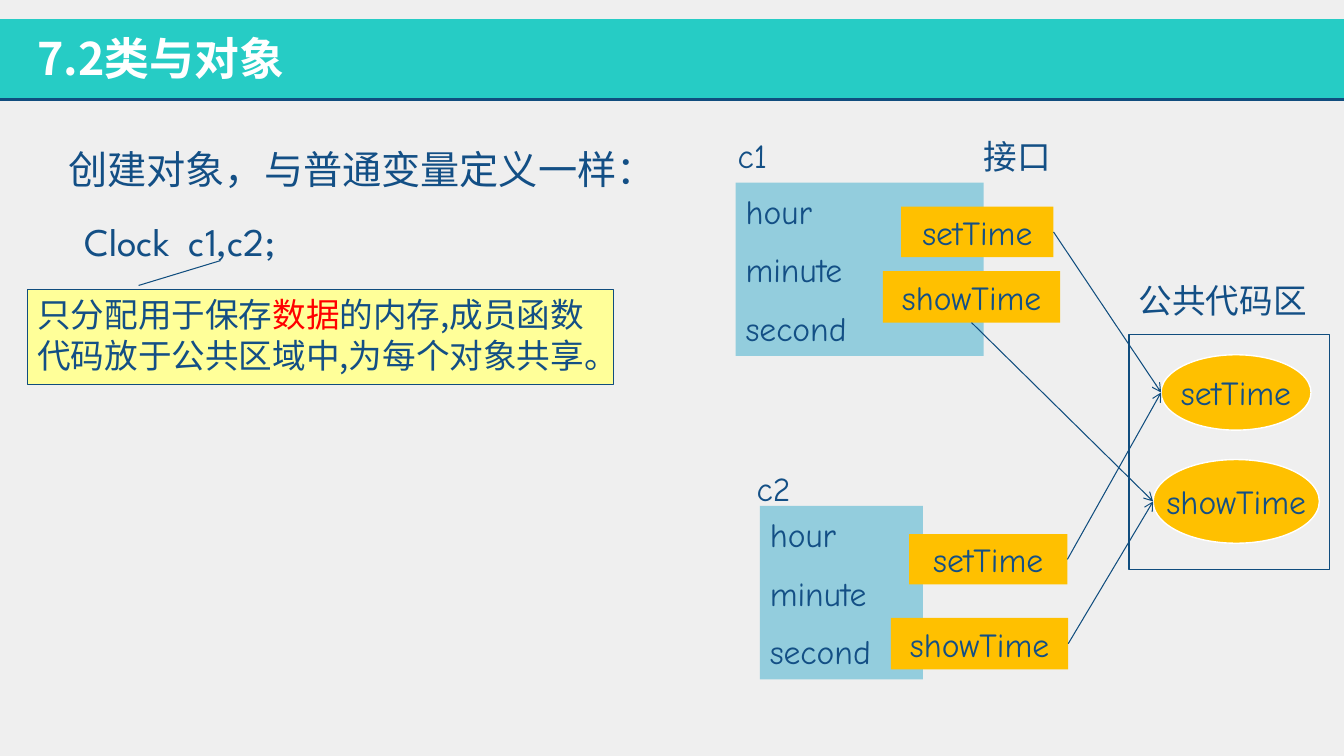
"""Build the slide on classes and objects: two Clock objects sharing public code."""
from lxml.etree import SubElement
from pptx import Presentation
from pptx.dml.color import RGBColor
from pptx.enum.shapes import MSO_CONNECTOR, MSO_SHAPE
from pptx.enum.text import MSO_ANCHOR, MSO_AUTO_SIZE, PP_ALIGN
from pptx.oxml.ns import qn
from pptx.util import Cm, Pt

PAPER = RGBColor(0xEF, 0xEF, 0xEF)
TEAL = RGBColor(0x26, 0xCC, 0xC5)
NAVY = RGBColor(0x10, 0x4D, 0x7E)
INK = RGBColor(0x13, 0x4F, 0x85)
WHITE = RGBColor(0xFF, 0xFF, 0xFF)
RED = RGBColor(0xFF, 0x00, 0x00)
YELLOW = RGBColor(0xFF, 0xFF, 0x99)
SKY = RGBColor(0x93, 0xCD, 0xDD)
AMBER = RGBColor(0xFF, 0xC0, 0x00)
HAN = "Noto Sans CJK JP"
COMIC = "Comic Neue"
SPARTAN = "League Spartan"


def write(shape, text, size=24, font=COMIC, color=INK, bold=False, align=PP_ALIGN.LEFT,
          anchor=MSO_ANCHOR.TOP, wrap=True, gap=0, highlight=None):
    frame = shape.text_frame
    frame.word_wrap = wrap
    frame.auto_size = MSO_AUTO_SIZE.NONE
    frame.vertical_anchor = anchor
    for index, line in enumerate(text.split("\n")):
        paragraph = frame.add_paragraph() if index else frame.paragraphs[0]
        paragraph.alignment = align
        paragraph.space_before = Pt(gap if index else 0)
        for part in line.partition(highlight) if highlight else [line]:
            run = paragraph.add_run()
            run.text = part
            run.font.size = Pt(size)
            run.font.bold = bold
            run.font.color.rgb = RED if part == highlight else color
            run.font.name = font
            SubElement(run.font._element, qn("a:ea"), typeface=HAN)


def draw(kind, box, fill=None, line=None, width=1):
    shape = slide.shapes.add_shape(kind, *map(Cm, box))
    shape.shadow.inherit = False
    if fill is None:
        shape.fill.background()
    else:
        shape.fill.solid()
        shape.fill.fore_color.rgb = fill
    if line is None:
        shape.line.fill.background()
    else:
        shape.line.color.rgb = line
        shape.line.width = Pt(width)
    return shape


deck = Presentation()
deck.slide_width, deck.slide_height = Cm(33.87), Cm(19.05)
slide = deck.slides.add_slide(deck.slide_layouts[1])
slide.background.fill.solid()
slide.background.fill.fore_color.rgb = PAPER

header = draw(MSO_SHAPE.RECTANGLE, (0, 0.48, 33.87, 2.03), TEAL)
header_rule = slide.shapes.add_connector(MSO_CONNECTOR.STRAIGHT, 0, Cm(2.51), Cm(33.87), Cm(2.51))
header_rule.line.color.rgb = NAVY
header_rule.line.width = Pt(2)
SubElement(header_rule._element.spPr, qn("a:effectLst"))

heading = slide.shapes.title
heading.left, heading.top, heading.width, heading.height = map(Cm, (0.69, 0.64, 22.3, 1.63))
heading.element.getparent().append(heading.element)
write(heading, "7.2类与对象", size=32, font=HAN, color=WHITE, bold=True)

intro = slide.placeholders[1]
intro.left, intro.top, intro.width, intro.height = map(Cm, (1.47, 3.53, 22.86, 1.45))
intro_format = intro.text_frame.paragraphs[0]._p.get_or_add_pPr()
intro_format.set("marL", "0")
intro_format.set("indent", "0")
SubElement(intro_format, qn("a:buNone"))
write(intro, "创建对象，与普通变量定义一样：", size=28, font=HAN)

declaration = slide.shapes.add_textbox(*map(Cm, (1.88, 5.36, 7.59, 1.42)))
write(declaration, "Clock  c1,c2;", size=28, font=SPARTAN, anchor=MSO_ANCHOR.BOTTOM)

memory_note = draw(MSO_SHAPE.LINE_CALLOUT_1, (0.69, 7.29, 14.76, 2.41), YELLOW, NAVY, 0.75)
for index, value in enumerate((-0.04, 0.19, -0.3, 0.33)):
    memory_note.adjustments[index] = value
write(memory_note, "只分配用于保存数据的内存,成员函数代码放于公共区域中,为每个对象共享。",
      font=HAN, highlight="数据")

for label, box in [
    ("c1", (18.34, 3.28, 2.46, 1.27)),
    ("c2", (18.82, 11.66, 2.46, 1.27)),
    ("公共代码区", (28.45, 6.93, 5.05, 1.3)),
    ("接口", (24.54, 3.3, 5.05, 1.3)),
]:
    write(slide.shapes.add_textbox(*map(Cm, box)), label)

code_area = draw(MSO_SHAPE.RECTANGLE, (28.45, 8.43, 5.05, 5.92), line=NAVY)
shared_code = {}
for function, box in [
    ("setTime", (29.26, 8.94, 3.78, 1.9)),
    ("showTime", (29.06, 11.58, 4.19, 2.11)),
]:
    shared_code[function] = draw(MSO_SHAPE.OVAL, box, AMBER, WHITE)
    write(shared_code[function], function, align=PP_ALIGN.CENTER, anchor=MSO_ANCHOR.MIDDLE, wrap=False)

BOTTOM_SITE, RIGHT_SITE = 2, 3
for data_box, members in [
    ((18.54, 4.6, 6.25, 4.37), [
        ("setTime", (22.71, 5.21, 3.84, 1.27), RIGHT_SITE),
        ("showTime", (22.25, 6.83, 4.47, 1.3), BOTTOM_SITE)]),
    ((19.15, 12.75, 4.11, 4.37), [
        ("setTime", (22.91, 13.46, 3.99, 1.27), RIGHT_SITE),
        ("showTime", (22.45, 15.57, 4.47, 1.3), RIGHT_SITE)]),
]:
    write(draw(MSO_SHAPE.RECTANGLE, data_box, SKY), "hour\nminute\nsecond",
          anchor=MSO_ANCHOR.MIDDLE, gap=13)
    for function, box, site in members:
        member = draw(MSO_SHAPE.RECTANGLE, box, AMBER)
        write(member, function, align=PP_ALIGN.CENTER, anchor=MSO_ANCHOR.MIDDLE)
        target = shared_code[function]
        call = slide.shapes.add_connector(MSO_CONNECTOR.STRAIGHT, member.left, member.top,
                                          target.left, target.top + target.height // 2)
        call.begin_connect(member, site)
        call.line.color.rgb = NAVY
        call.line.width = Pt(0.75)
        SubElement(call.line._get_or_add_ln(), qn("a:tailEnd"), type="arrow")
        SubElement(call._element.spPr, qn("a:effectLst"))

deck.save("out.pptx")
